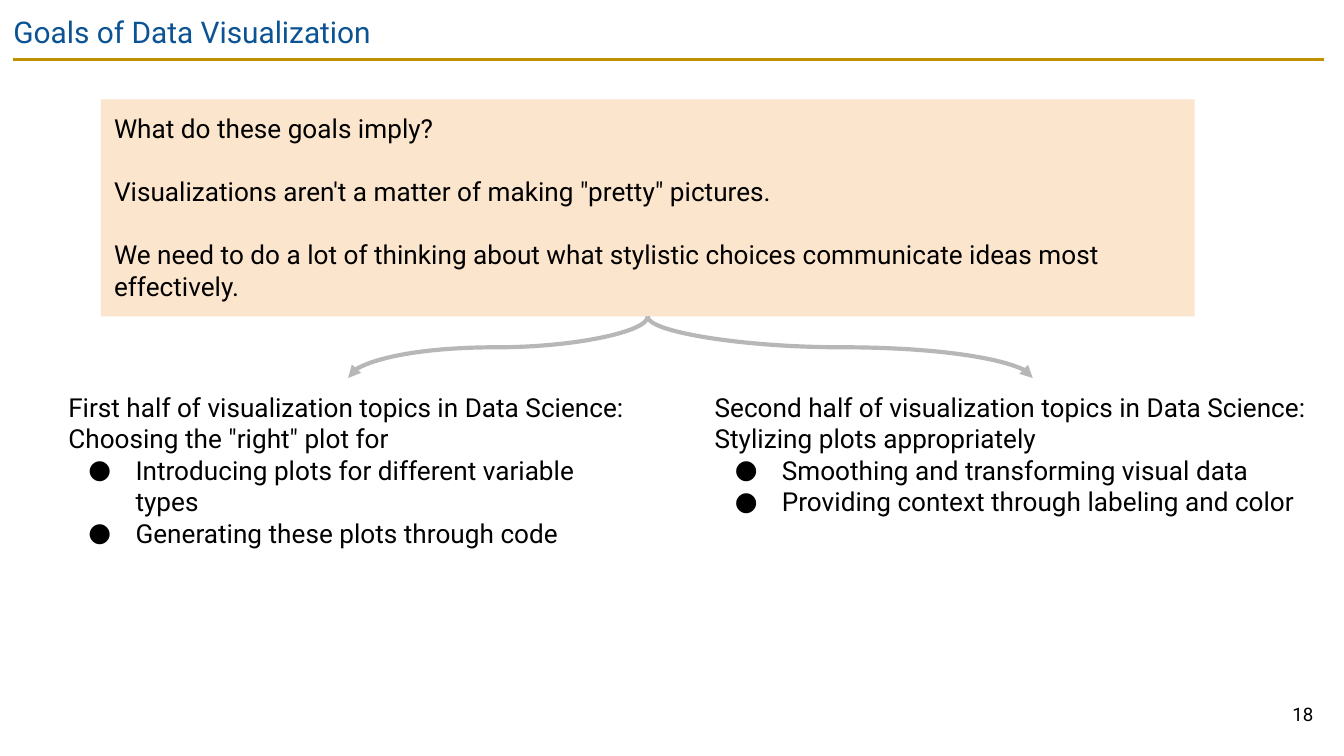
from lxml.etree import SubElement
from pptx import Presentation
from pptx.dml.color import RGBColor
from pptx.enum.shapes import MSO_CONNECTOR, MSO_SHAPE
from pptx.enum.text import MSO_ANCHOR, MSO_AUTO_SIZE, PP_ALIGN
from pptx.oxml.ns import qn
from pptx.util import Pt

FONT = "Roboto"
BLACK, BLUE, GOLD, GREY, PEACH = "000000", "0B5394", "BF9000", "B7B7B7", "FCE5CD"
INSET = Pt(7.2)
FRAME = {
    "word_wrap": True, "auto_size": MSO_AUTO_SIZE.NONE,
    "margin_left": INSET, "margin_top": INSET,
    "margin_right": INSET, "margin_bottom": INSET,
}
COLUMNS = [
    (29.5, 314, 'First half of visualization topics in Data Science: Choosing the "right" plot for',
     ["Introducing plots for different variable types",
      "Generating these plots through code"]),
    (375.8, 355, "Second half of visualization topics in Data Science: Stylizing plots appropriately",
     ["Smoothing and transforming visual data",
      "Providing context through labeling and color"]),
]


def rgb(code):
    """Turn a hex string into a colour."""
    return RGBColor.from_string(code)


def assign(obj, values):
    """Set attributes from a dict of format values."""
    for name, value in values.items():
        setattr(obj, name, value)


def place(sp, left, top, width, height):
    """Position and size a shape in points."""
    assign(sp, {"left": Pt(left), "top": Pt(top), "width": Pt(width), "height": Pt(height)})


def write(sp, lines, size=14, color=BLACK, align=PP_ALIGN.LEFT, anchor=MSO_ANCHOR.TOP, gap=0):
    """Fill a shape with paragraphs and return them."""
    tf = sp.text_frame
    assign(tf, FRAME | {"vertical_anchor": anchor})
    tf.text = "\n".join(lines)
    for i, p in enumerate(tf.paragraphs):
        assign(p, {"alignment": align, "space_before": Pt(gap if i else 0)})
        r = p.runs[0]
        assign(r.font, {"name": FONT, "size": Pt(size)})
        r.font.color.rgb = rgb(color)
    return tf.paragraphs


def add_text(s, box, lines, **style):
    """Add a text box and return its paragraphs."""
    return write(s.shapes.add_textbox(*map(Pt, box)), lines, **style)


def add_panel(s, box, lines, fill, **style):
    """Add a filled rectangle with text."""
    sp = s.shapes.add_shape(MSO_SHAPE.RECTANGLE, *map(Pt, box))
    sp.shadow.inherit = False
    sp.fill.solid()
    sp.fill.fore_color.rgb = rgb(fill)
    sp.line.fill.background()
    write(sp, lines, **style)


def set_bullet(p):
    """Give a paragraph a round bullet and a hanging indent."""
    pPr = p._p.get_or_add_pPr()
    pPr.set("marL", str(Pt(36)))
    pPr.set("indent", str(Pt(-25.2)))
    clr = SubElement(pPr, qn("a:buClr"))
    SubElement(clr, qn("a:srgbClr"), val=BLACK)
    SubElement(pPr, qn("a:buFont"), typeface=FONT)
    SubElement(pPr, qn("a:buChar"), char="●")


def add_line(s, kind, ends, color, width):
    """Add a connector without a shadow."""
    ln = s.shapes.add_connector(kind, *map(Pt, ends))
    ln.line.color.rgb = rgb(color)
    ln.line.width = Pt(width)
    SubElement(ln._element.spPr, qn("a:effectLst"))
    return ln


def add_curved_arrow(s, x1, y1, x2, y2):
    """Add a curved arrow that leaves and arrives vertically."""
    cx, cy = (x1 + x2) / 2, (y1 + y2) / 2
    half_span = abs(x2 - x1) / 2
    to_left = x2 < x1
    half_drop = (y2 - y1) / 2 * (1 if to_left else -1)
    ends = (cx - half_drop, cy - half_span, cx + half_drop, cy + half_span)
    ln = add_line(s, MSO_CONNECTOR.CURVE, ends, GREY, 2.25)
    ln._element.spPr.find(qn("a:xfrm")).set("rot", str((90 if to_left else 270) * 60000))
    SubElement(ln.line._get_or_add_ln(), qn("a:tailEnd"), type="triangle")


def main():
    """Build the slide."""
    prs = Presentation()
    assign(prs, {"slide_width": Pt(720), "slide_height": Pt(405)})
    s = prs.slides.add_slide(prs.slide_layouts[5])

    place(s.shapes.title, 0, 0, 671, 31)
    write(s.shapes.title, ["Goals of Data Visualization"], size=16, color=BLUE)
    add_line(s, MSO_CONNECTOR.STRAIGHT, (7.2, 31.8, 709.2, 31.8), GOLD, 1.5)
    add_text(s, (667.5, 367.2, 43.2, 31), ["18"], size=10,
             align=PP_ALIGN.RIGHT, anchor=MSO_ANCHOR.MIDDLE)

    add_panel(s, (54, 53.2, 586, 116.4), [
        "What do these goals imply?",
        'Visualizations aren\'t a matter of making "pretty" pictures.',
        "We need to do a lot of thinking about what stylistic choices "
        "communicate ideas most effectively.",
    ], PEACH, gap=16.9)

    for left, width, heading, topics in COLUMNS:
        paragraphs = add_text(s, (left, 202.5, width, 99), [heading, *topics])
        for p in paragraphs[1:]:
            set_bullet(p)
        add_curved_arrow(s, 347, 169.6, left + width / 2, 202.5)

    prs.save("out.pptx")


if __name__ == "__main__":
    main()
